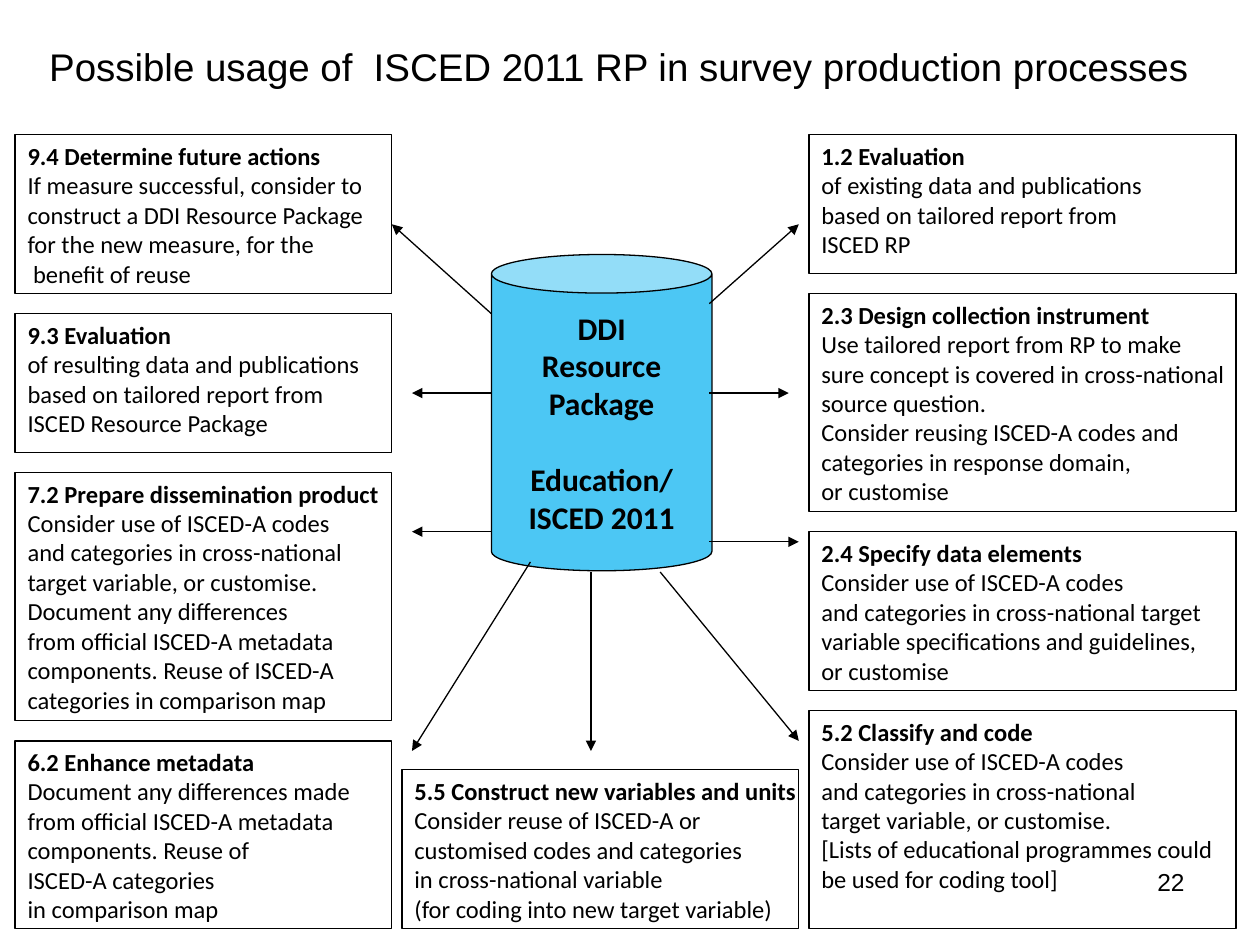
from lxml import etree
from pptx import Presentation
from pptx.dml.color import RGBColor
from pptx.enum import shapes, text
from pptx.oxml.ns import qn
from pptx.util import Inches, Pt

# Content
TITLE = "Possible usage of  ISCED 2011 RP in survey production processes"
PAGE = "22"
HUB = [["DDI", "Resource", "Package"], ["Education/", "ISCED 2011"]]

# Each box: height, heading, lines
LEFT = [
    (1.26, "9.4 Determine future actions",
     ["If measure successful, consider to", "construct a DDI Resource Package",
      "for the new measure, for the", " benefit of reuse"]),
    (1.1, "9.3 Evaluation",
     ["of resulting data and publications", "based on tailored report from",
      "ISCED Resource Package"]),
    (1.97, "7.2 Prepare dissemination product",
     ["Consider use of ISCED-A codes", "and categories in cross-national",
      "target variable, or customise.", "Document any differences",
      "from official ISCED-A metadata", "components. Reuse of ISCED-A",
      "categories in comparison map"]),
    (1.49, "6.2 Enhance metadata",
     ["Document any differences made", "from official ISCED-A metadata",
      "components. Reuse of", "ISCED-A categories", "in comparison map"]),
]
MIDDLE = [
    (1.26, "5.5 Construct new variables and units",
     ["Consider reuse of ISCED-A or", "customised codes and categories",
      "in cross-national variable", "(for coding into new target variable)"]),
]
RIGHT = [
    (1.1, "1.2 Evaluation",
     ["of existing data and publications", "based on tailored report from",
      "ISCED RP"]),
    (1.73, "2.3 Design collection instrument",
     ["Use tailored report from RP to make",
      "sure concept is covered in cross-national", "source question.",
      "Consider reusing ISCED-A codes and", "categories in response domain,",
      "or customise"]),
    (1.26, "2.4 Specify data elements",
     ["Consider use of ISCED-A codes", "and categories in cross-national target",
      "variable specifications and guidelines,", "or customise"]),
    (1.73, "5.2 Classify and code",
     ["Consider use of ISCED-A codes", "and categories in cross-national",
      "target variable, or customise.", "[Lists of educational programmes could",
      "be used for coding tool]"]),
]

# Columns: left, top, width, boxes
COLUMNS = [(0.12, 1.07, 2.99, LEFT), (3.19, 6.11, 3.15, MIDDLE),
           (6.42, 1.07, 3.39, RIGHT)]
GAP = 0.16
HUB_AT = (3.9, 2.02, 1.75, 2.51)
HUB_L, HUB_R = 3.9, 5.63
ARROWS = [
    (HUB_L, 2.49, 3.11, 1.78), (HUB_L, 3.12, 3.27, 3.12),
    (HUB_L, 4.22, 3.27, 4.22), (4.21, 4.46, 3.27, 5.96),
    (4.69, 4.54, 4.69, 5.96), (5.24, 4.54, 6.34, 5.88),
    (HUB_R, 4.3, 6.34, 4.3), (HUB_R, 3.12, 6.26, 3.12),
    (HUB_R, 2.41, 6.34, 1.78),
]

BLACK = RGBColor(0, 0, 0)
THEME = {
    "line": BLACK, "line_width": Pt(0.75),
    "hub_fill": RGBColor(0x00, 0xB0, 0xF0), "hub_alpha": "70000",
    "title": {"name": "Arial", "size": Pt(22), "bold": False},
    "page": {"name": "Arial", "size": Pt(14), "bold": False},
    "hub": {"name": "Calibri", "size": Pt(18), "bold": True},
    "heading": {"name": "Calibri", "size": Pt(14), "bold": True},
    "body": {"name": "Calibri", "size": Pt(14), "bold": False},
}
ALIGN, ANCHOR = text.PP_ALIGN, text.MSO_ANCHOR


def inches(values):
    return [Inches(v) for v in values]


def write(sp, lines, align=ALIGN.LEFT, anchor=ANCHOR.TOP, wrap=False):
    """Fill a shape with (text, style, space before) lines."""
    tf = sp.text_frame
    frame = {"word_wrap": wrap, "vertical_anchor": anchor,
             "margin_left": Inches(0.1), "margin_right": Inches(0.1),
             "margin_top": Inches(0.05), "margin_bottom": Inches(0.05)}
    for name, value in frame.items():
        setattr(tf, name, value)
    for i, (words, style, before) in enumerate(lines):
        p = tf.add_paragraph() if i else tf.paragraphs[0]
        p.alignment, p.space_before = align, Pt(before)
        r = p.add_run()
        r.text = words
        for name, value in THEME[style].items():
            setattr(r.font, name, value)
        r.font.color.rgb = BLACK


def outline(sp):
    sp.line.color.rgb = THEME["line"]
    sp.line.width = THEME["line_width"]


def add_outlined(s, kind, at):
    sp = s.shapes.add_shape(kind, *inches(at))
    sp.shadow.inherit = False
    sp.fill.background()
    outline(sp)
    return sp


def add_hub(s):
    sp = add_outlined(s, shapes.MSO_SHAPE.CAN, HUB_AT)
    sp.adjustments[0] = 0.175
    sp.fill.solid()
    sp.fill.fore_color.rgb = THEME["hub_fill"]
    color = sp._element.spPr.find(qn("a:solidFill"))[0]
    etree.SubElement(color, qn("a:alpha"), val=THEME["hub_alpha"])
    lines = [(words, "hub", 22 if g and not i else 0)
             for g, group in enumerate(HUB) for i, words in enumerate(group)]
    write(sp, lines, ALIGN.CENTER, ANCHOR.MIDDLE)


def add_arrow(s, ends):
    c = s.shapes.add_connector(shapes.MSO_CONNECTOR.STRAIGHT, *inches(ends))
    outline(c)
    etree.SubElement(c.line._get_or_add_ln(), qn("a:tailEnd"), type="triangle")
    etree.SubElement(c._element.spPr, qn("a:effectLst"))


def main():
    prs = Presentation()
    prs.slide_width, prs.slide_height = inches((10, 7.5))
    s = prs.slides.add_slide(prs.slide_layouts[5])

    # Title
    title = s.shapes.title
    title.left, title.top, title.width, title.height = inches((0.29, 0.29, 9.27, 0.47))
    write(title, [(TITLE, "title", 0)])
    title.text_frame.auto_size = text.MSO_AUTO_SIZE.SHAPE_TO_FIT_TEXT

    # Central store and its arrows
    add_hub(s)
    for ends in ARROWS:
        add_arrow(s, ends)

    # Process boxes, stacked in columns
    for left, top, width, boxes in COLUMNS:
        for height, heading, body in boxes:
            sp = add_outlined(s, shapes.MSO_SHAPE.RECTANGLE,
                              (left, top, width, height))
            write(sp, [(heading, "heading", 0)] + [(b, "body", 0) for b in body])
            top += height + GAP

    # Page number
    page = s.shapes.add_textbox(*inches((7.17, 6.83, 2.33, 0.52)))
    write(page, [(PAGE, "page", 0)], ALIGN.RIGHT, wrap=True)

    prs.save("out.pptx")


if __name__ == "__main__":
    main()
